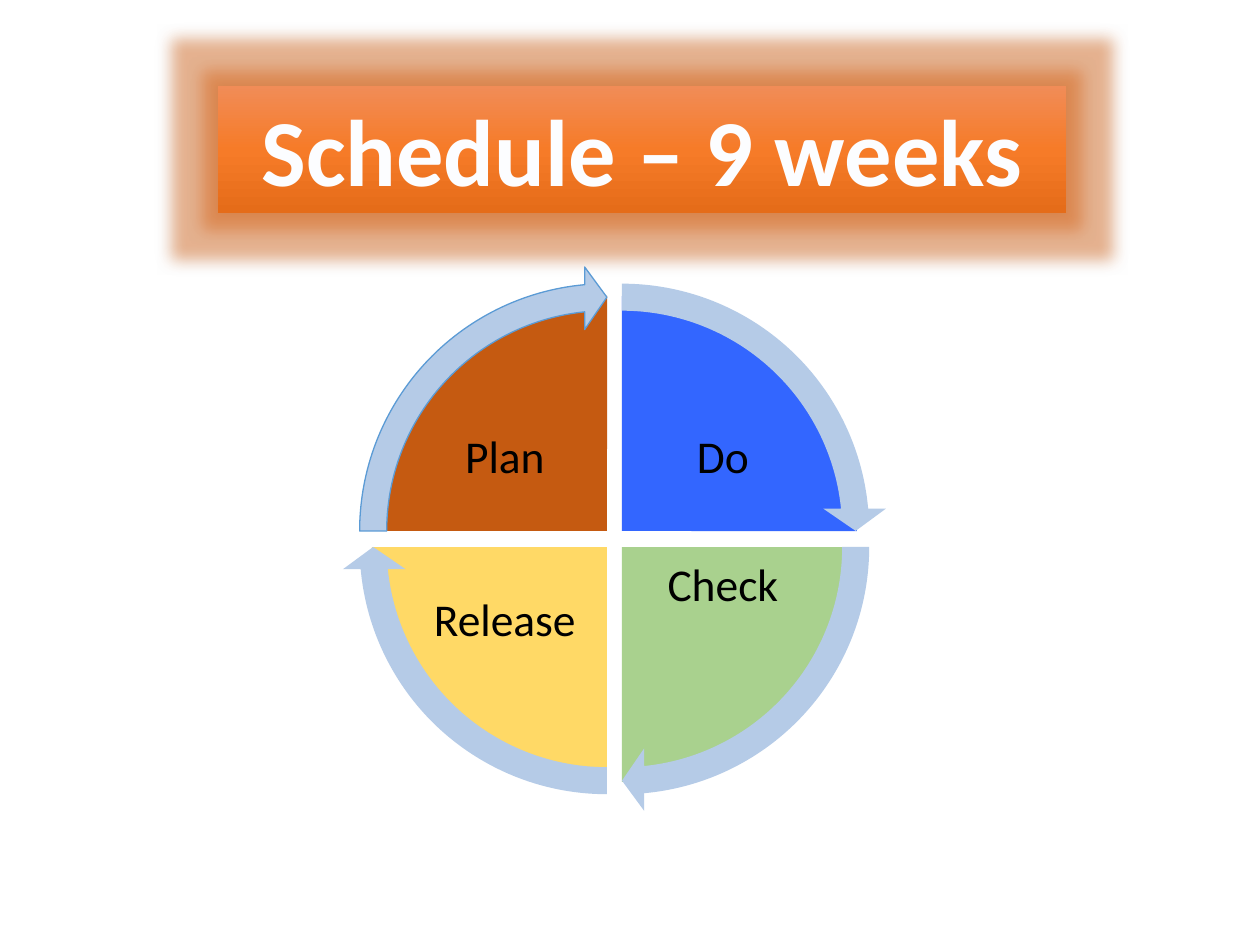
from copy import deepcopy

from lxml import etree
from pptx import Presentation
from pptx import util as u
from pptx.dml.color import RGBColor
from pptx.enum import shapes, text
from pptx.oxml.ns import qn

TITLE = "Schedule – 9 weeks"
TITLE_STOPS = [(0, "F18C57"), (0.5, "F67B28"), (1, "E56C19")]
STEPS = [
    ("Do", "3366FF", 1, 0, 162, text.MSO_ANCHOR.MIDDLE),
    ("Check", "A9D18E", 1, 1, 0, text.MSO_ANCHOR.TOP),
    ("Release", "FFD966", 0, 1, 54, text.MSO_ANCHOR.MIDDLE),
    ("Plan", "C55A11", 0, 0, 108, text.MSO_ANCHOR.MIDDLE),
]
CENTER_X, CENTER_Y = (607, 622), (531, 547)
LABEL_X, LABEL_Y = (418, 636), (394, 557)
PIE, ARROW = 470, 530
QUARTER, SWEEP = 54, 50.725


def px(length):
    return u.Emu(round(length * 914400 / 126))


def color(value):
    return RGBColor.from_string(value)


def add_shape(page, kind, left, top, width, height, fill=None):
    shape = page.shapes.add_shape(kind, px(left), px(top), px(width), px(height))
    shape.shadow.inherit = False
    shape.line.fill.background()
    if fill:
        shape.fill.solid()
        shape.fill.fore_color.rgb = color(fill)
    return shape


def add_circle(page, kind, column, row, size, fill, adjustments):
    left, top = CENTER_X[column] - size / 2, CENTER_Y[row] - size / 2
    shape = add_shape(page, kind, left, top, size, size, fill)
    for index, value in enumerate(adjustments):
        shape.adjustments[index] = value
    return shape


def write(box, words, size, ink, bold=False):
    para = box.text_frame.paragraphs[0]
    para.alignment = text.PP_ALIGN.CENTER
    span = para.add_run()
    span.text = words
    span.font.name = "Calibri"
    span.font.size = u.Pt(size)
    span.font.bold = bold
    span.font.color.rgb = color(ink)
    return para


def add_effect(effects, name, ink, alpha, **settings):
    effect = etree.SubElement(effects, qn(name), **settings)
    tint = etree.SubElement(effect, qn("a:srgbClr"), val=ink)
    etree.SubElement(tint, qn("a:alpha"), val=str(alpha * 1000))


def add_title(page):
    banner = add_shape(page, shapes.MSO_SHAPE.RECTANGLE, 218, 86, 848, 127)
    banner.fill.gradient()
    banner.fill.gradient_angle = 270
    first = banner.fill.gradient_stops[0]
    stop_list = banner._element.spPr.find(".//" + qn("a:gsLst"))
    stop_list.append(deepcopy(stop_list[0]))
    for stop, (position, ink) in zip(banner.fill.gradient_stops, TITLE_STOPS):
        stop.position = position
        stop.color.rgb = color(ink)
    effects = banner._element.spPr.find(qn("a:effectLst"))
    add_effect(effects, "a:glow", "DC5C07", 40, rad=str(u.Pt(18)))
    add_effect(effects, "a:outerShdw", "000000", 20, blurRad=str(u.Pt(6)),
               dist="0", dir="13500000")
    banner.text_frame.word_wrap = True
    banner.text_frame.vertical_anchor = text.MSO_ANCHOR.TOP
    write(banner, TITLE, 54, "FCFDFF", True)


def add_label(page, words, column, row, anchor):
    box = page.shapes.add_textbox(
        px(LABEL_X[column]), px(LABEL_Y[row]), px(174), px(129))
    frame = box.text_frame
    frame.word_wrap = True
    frame.vertical_anchor = anchor
    frame.margin_left = frame.margin_right = px(5)
    frame.margin_top = frame.margin_bottom = px(5)
    write(box, words, 26, "000000").line_spacing = 0.9


def main():
    deck = Presentation()
    deck.slide_width, deck.slide_height = px(1260), px(945)
    page = deck.slides.add_slide(deck.slide_layouts[6])
    add_title(page)
    for words, fill, column, row, start, anchor in STEPS:
        end = (start + QUARTER) % (4 * QUARTER)
        add_circle(page, shapes.MSO_SHAPE.PIE, column, row, PIE, fill, (start, end))
        add_label(page, words, column, row, anchor)
    for words, fill, column, row, start, anchor in STEPS:
        arrow = add_circle(page, shapes.MSO_SHAPE.CIRCULAR_ARROW, column, row, ARROW,
                           "B5CBE7", (0.051, 3.275, start + SWEEP, start, 0.059))
    arrow.line.color.rgb = color("5B9BD5")
    arrow.line.width = u.Pt(0.75)
    deck.save("out.pptx")


if __name__ == "__main__":
    main()
